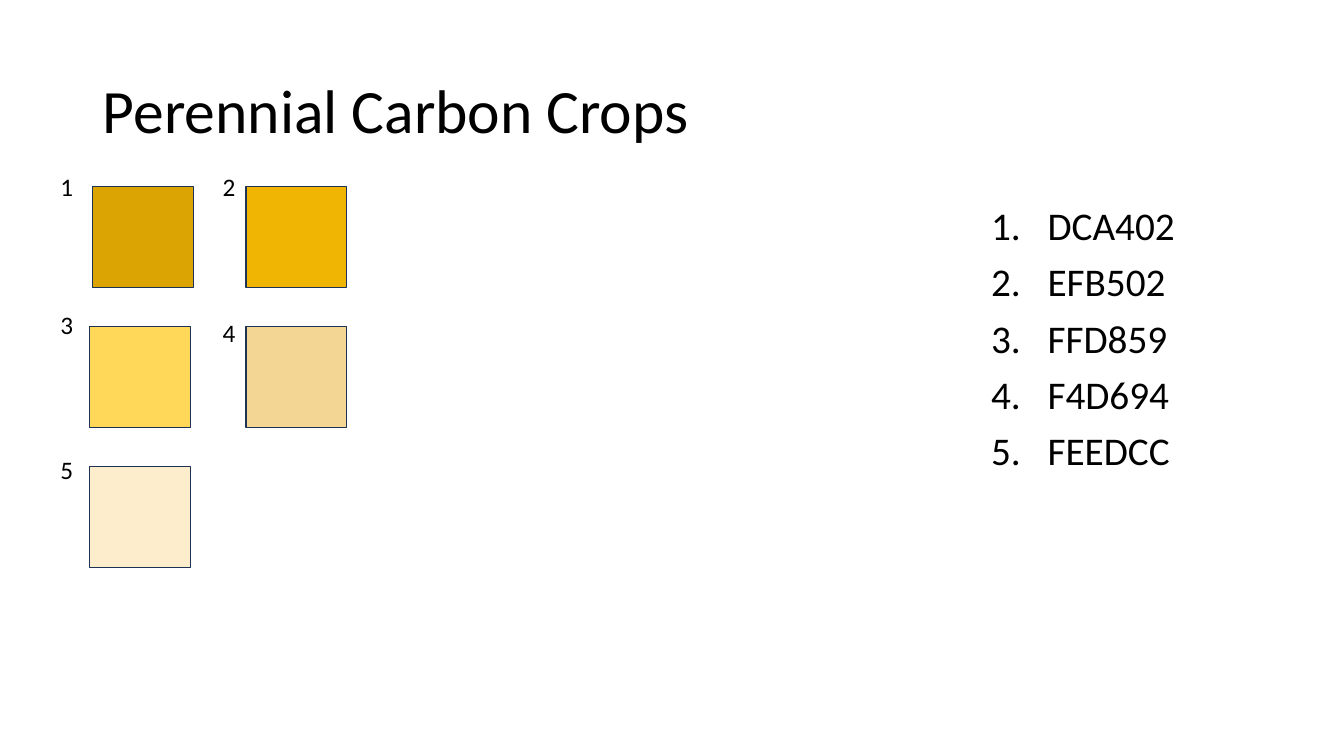
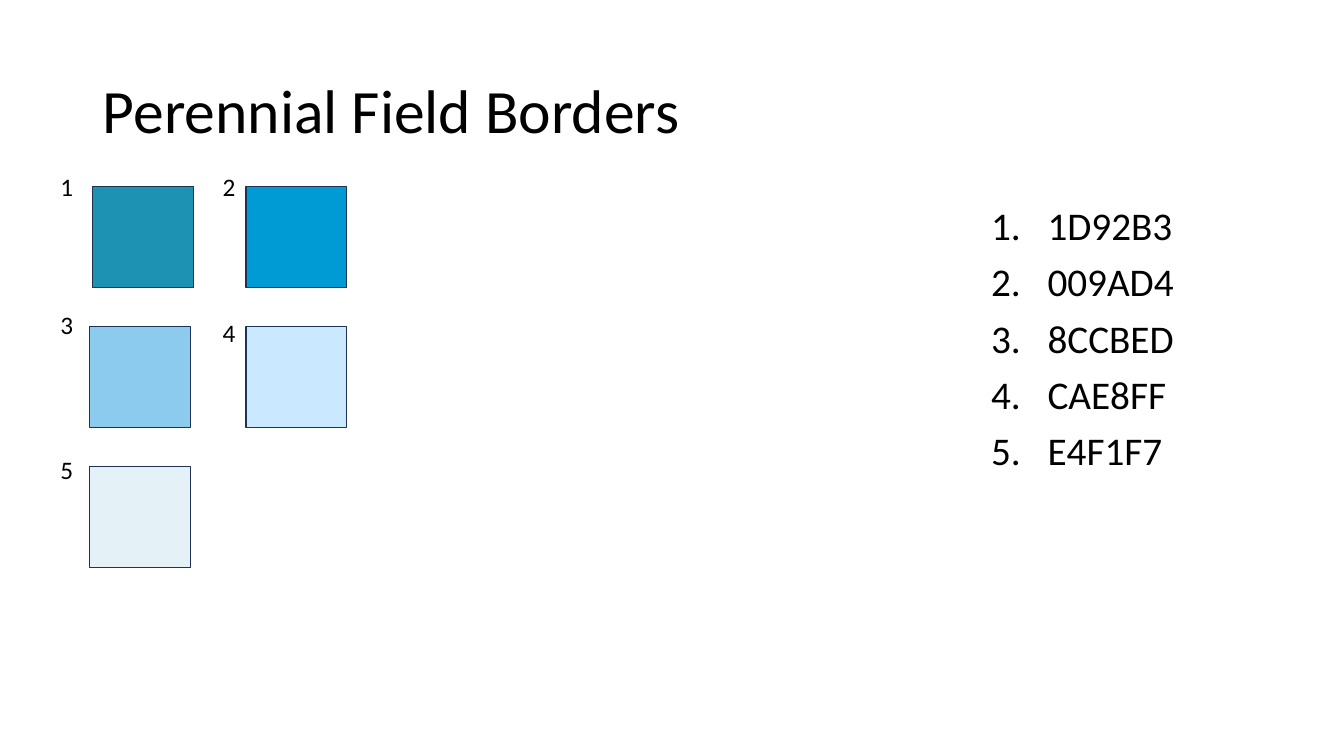
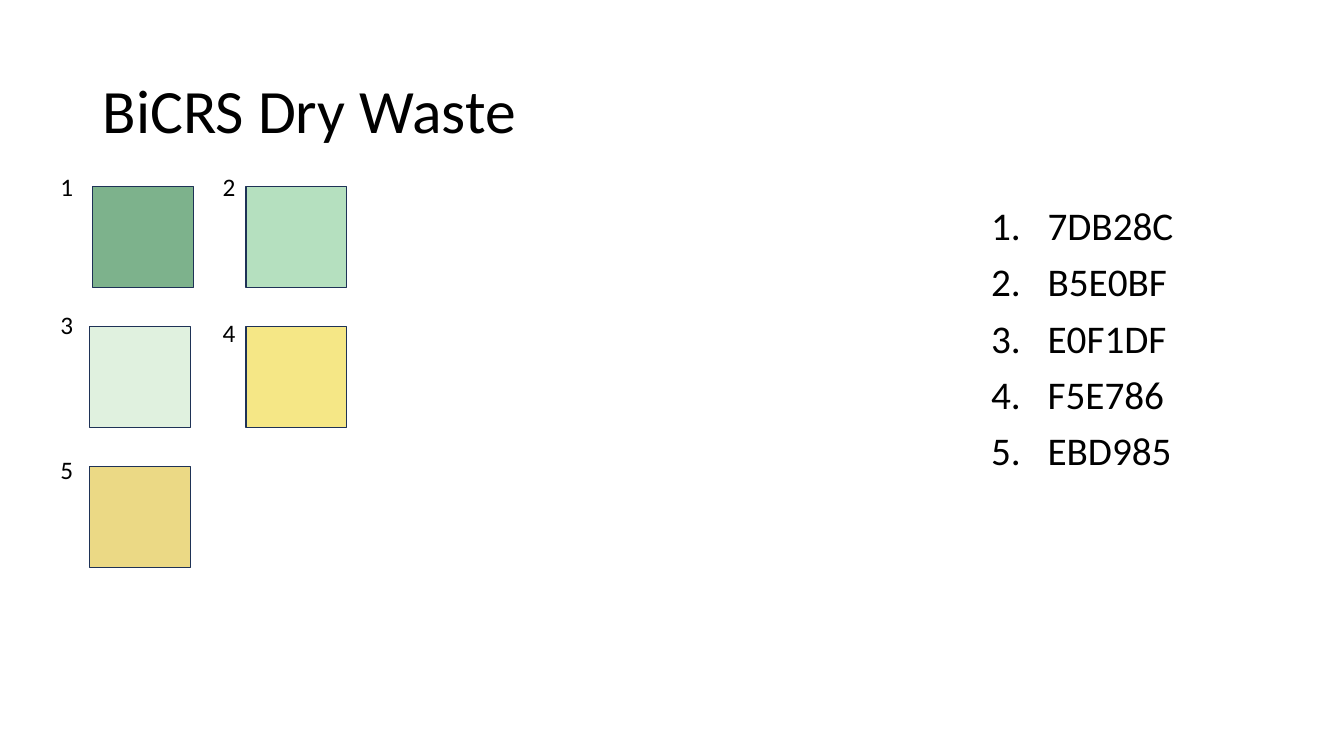
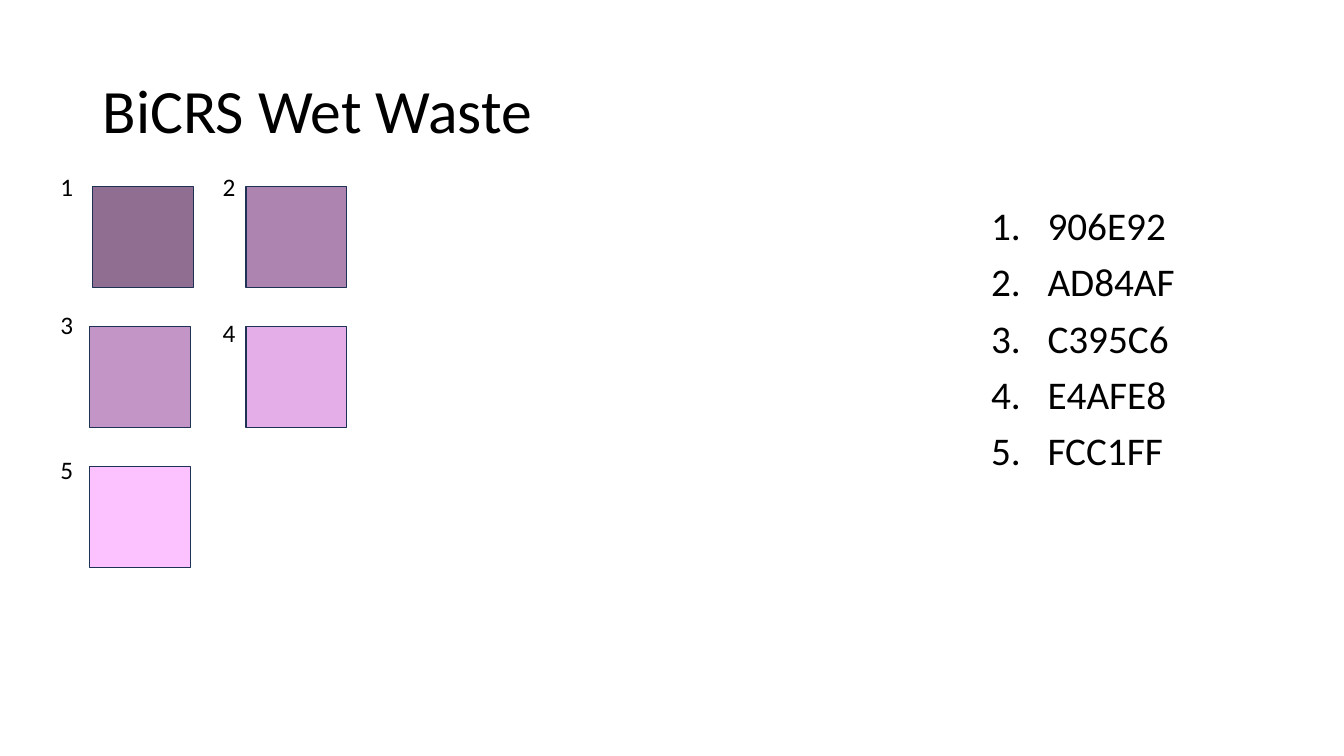
from lxml.etree import SubElement
from pptx import Presentation
from pptx.dml.color import RGBColor
from pptx.enum.shapes import MSO_SHAPE
from pptx.enum.text import MSO_ANCHOR, MSO_AUTO_SIZE, PP_ALIGN
from pptx.oxml.ns import qn
from pptx.util import Inches, Pt

# Shared look
COLORS = {"text": "000000", "outline": "1E3256", "background": "FFFFFF"}
FONT = "Calibri"
SIZES = {"title": 44, "list": 28, "label": 18}

# Layout in inches: left, top, width, height
SLIDE_SIZE = (13.33, 7.5)
TITLE_BOX = (0.92, 0.4, 11.5, 1.45)
LIST_BOX = (9.73, 2, 2.69, 4.76)
LIST_INDENT = 0.56

# Swatch grid, with small shifts (x, y) for single numbers
GRID_COLUMNS = 2
ROW_PITCH = 1.39
SWATCH = {"left": 0.89, "top": 1.85, "pitch": 1.55, "size": (1, 1),
          "shifts": {1: (0.03, 0)}}
LABEL = {"left": 0.5, "top": 1.65, "pitch": 1.61, "size": (0.33, 0.4),
         "shifts": {3: (0, -0.02), 4: (0, 0.06), 5: (0, 0.03)}}

PALETTES = {
    "Perennial Carbon Crops": ["DCA402", "EFB502", "FFD859", "F4D694", "FEEDCC"],
    "Perennial Field Borders": ["1D92B3", "009AD4", "8CCBED", "CAE8FF", "E4F1F7"],
    "BiCRS Dry Waste": ["7DB28C", "B5E0BF", "E0F1DF", "F5E786", "EBD985"],
    "BiCRS Wet Waste": ["906E92", "AD84AF", "C395C6", "E4AFE8", "FCC1FF"],
}


def inches(lengths):
    return [Inches(length) for length in lengths]


def grid_box(grid, number):
    """Place of a numbered item, filling the grid row by row."""
    row, column = divmod(number - 1, GRID_COLUMNS)
    shift_x, shift_y = grid["shifts"].get(number, (0, 0))
    left = grid["left"] + column * grid["pitch"] + shift_x
    top = grid["top"] + row * ROW_PITCH + shift_y
    return inches((left, top, *grid["size"]))


def place(shape, box):
    for name, length in zip(("left", "top", "width", "height"), inches(box)):
        setattr(shape, name, length)


def format_paragraph(paragraph, role, **settings):
    for name, value in settings.items():
        setattr(paragraph, name, value)
    font = paragraph.font
    font.name, font.size = FONT, Pt(SIZES[role])
    font.color.rgb = RGBColor.from_string(COLORS["text"])


def number_paragraph(paragraph):
    properties = paragraph._p.get_or_add_pPr()
    indent = Inches(LIST_INDENT)
    properties.set("marL", str(indent))
    properties.set("indent", str(-indent))
    SubElement(properties, qn("a:buFont"), typeface="+mj-lt")
    SubElement(properties, qn("a:buAutoNum"), type="arabicPeriod")


def fill_title(slide, text):
    title = slide.shapes.title
    place(title, TITLE_BOX)
    frame = title.text_frame
    frame.text = text
    frame.vertical_anchor = MSO_ANCHOR.MIDDLE
    frame.auto_size = MSO_AUTO_SIZE.NONE
    format_paragraph(frame.paragraphs[0], "title",
                     alignment=PP_ALIGN.LEFT, line_spacing=0.9)


def fill_list(slide, items):
    body = slide.placeholders[1]
    place(body, LIST_BOX)
    frame = body.text_frame
    frame.text = "\n".join(items)
    frame.auto_size = MSO_AUTO_SIZE.NONE
    for index, paragraph in enumerate(frame.paragraphs):
        number_paragraph(paragraph)
        format_paragraph(paragraph, "list", line_spacing=0.9,
                         space_before=Pt(10 if index else 0))


def add_swatch(slide, number, color):
    swatch = slide.shapes.add_shape(MSO_SHAPE.RECTANGLE, *grid_box(SWATCH, number))
    swatch.shadow.inherit = False
    swatch.fill.solid()
    swatch.fill.fore_color.rgb = RGBColor.from_string(color)
    swatch.line.color.rgb = RGBColor.from_string(COLORS["outline"])
    swatch.line.width = Pt(1)


def add_label(slide, number):
    frame = slide.shapes.add_textbox(*grid_box(LABEL, number)).text_frame
    frame.text = str(number)
    frame.word_wrap = False
    frame.auto_size = MSO_AUTO_SIZE.SHAPE_TO_FIT_TEXT
    format_paragraph(frame.paragraphs[0], "label")


def add_palette_slide(presentation, title, palette):
    slide = presentation.slides.add_slide(presentation.slide_layouts[1])
    fill_title(slide, title)
    fill_list(slide, palette)
    for number, color in enumerate(palette, start=1):
        add_swatch(slide, number, color)
        add_label(slide, number)


def main():
    presentation = Presentation()
    presentation.slide_width, presentation.slide_height = inches(SLIDE_SIZE)
    background = presentation.slide_master.background.fill
    background.solid()
    background.fore_color.rgb = RGBColor.from_string(COLORS["background"])
    for title, palette in PALETTES.items():
        add_palette_slide(presentation, title, palette)
    presentation.save("out.pptx")


if __name__ == "__main__":
    main()
